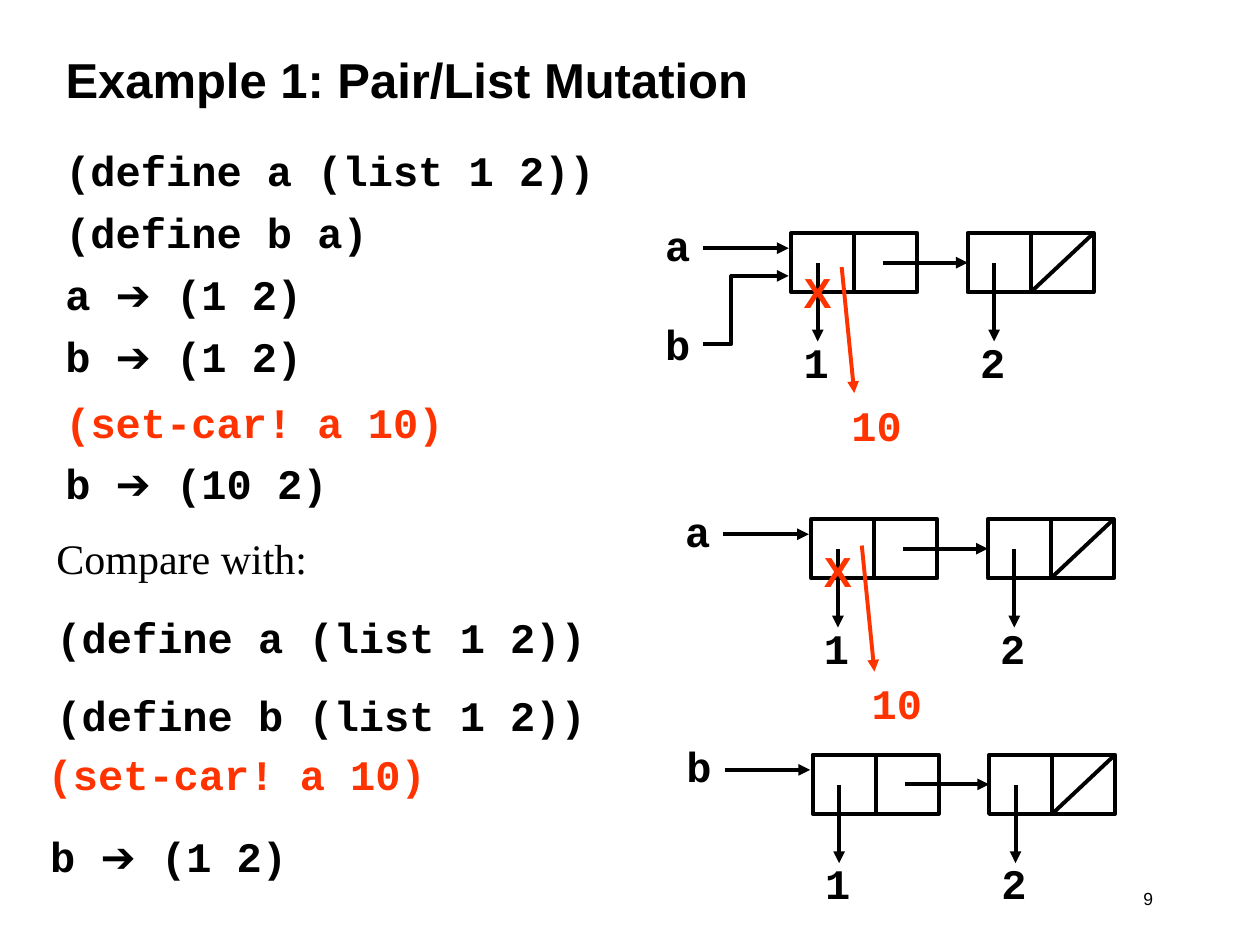
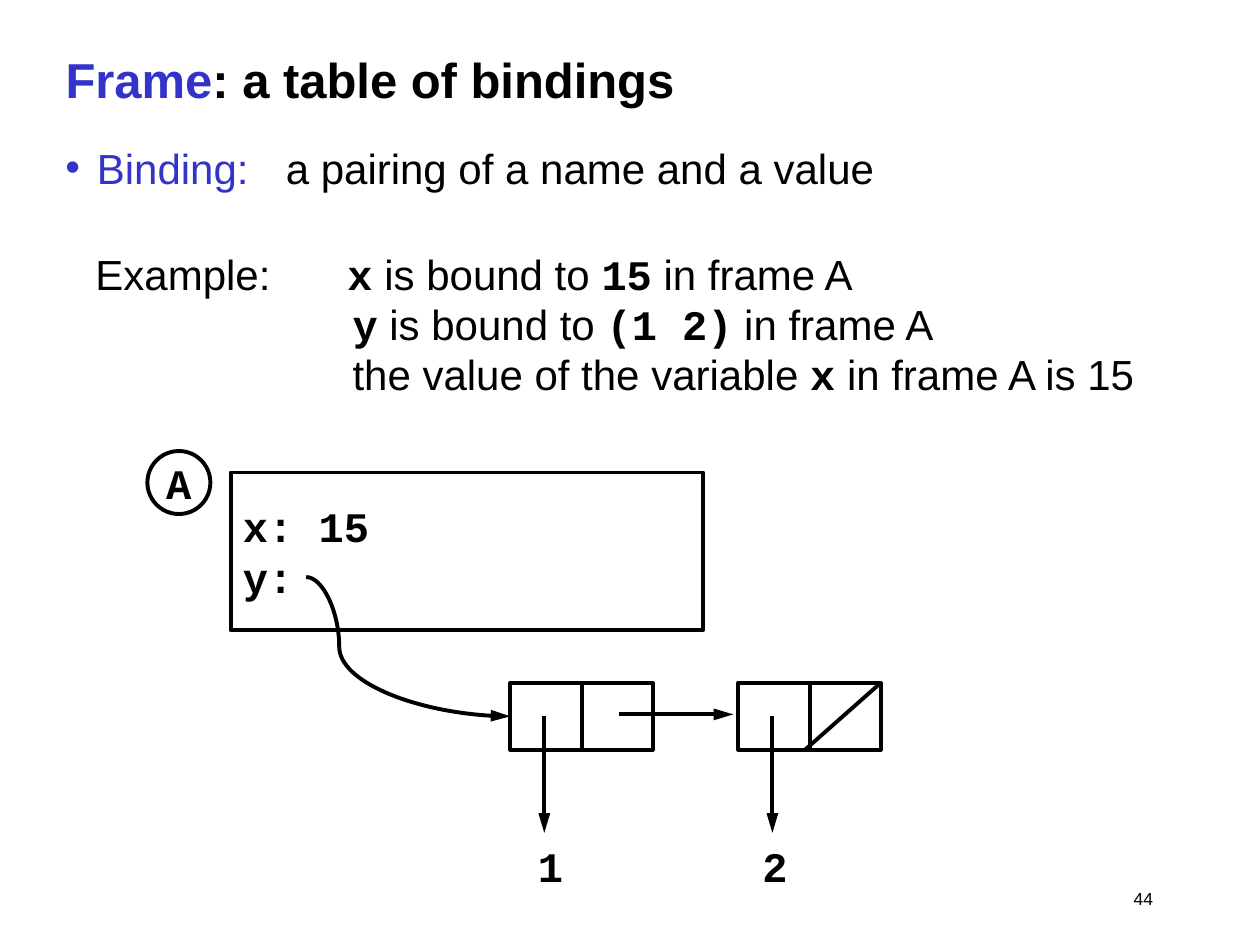
from lxml import etree
from pptx import Presentation
from pptx.dml.color import RGBColor
from pptx.enum import shapes, text
from pptx.oxml import ns
from pptx.util import Inches, Pt

COLORS = {"black": "000000", "red": "FF3300", "blue": "3333CC"}
MONO, SANS, SERIF = "Courier New", "Arial", "Times New Roman"
ARROW = ("➔", {"font": SANS})
CODE = {"font": MONO, "bold": True}
RECT = shapes.MSO_SHAPE.RECTANGLE
STRAIGHT = shapes.MSO_CONNECTOR.STRAIGHT


def write(s, box, paras, shape=None, sp=None, align="LEFT", anchor="TOP",
          wrap=True, before=0, **font):
    left, top, width, height = map(Inches, box)
    if sp is not None:
        sp.left, sp.top, sp.width, sp.height = left, top, width, height
    elif shape is not None:
        sp = s.shapes.add_shape(shape, left, top, width, height)
        sp.shadow.inherit = False
        sp.fill.background()
        sp.line.color.rgb = RGBColor.from_string(COLORS["black"])
        sp.line.width = Pt(2.25)
    else:
        sp = s.shapes.add_textbox(left, top, width, height)
    tf = sp.text_frame
    tf.word_wrap = wrap
    tf.auto_size = text.MSO_AUTO_SIZE.NONE
    tf.vertical_anchor = getattr(text.MSO_ANCHOR, anchor)
    for i, runs in enumerate(paras):
        p = tf.add_paragraph() if i else tf.paragraphs[0]
        p.alignment = getattr(text.PP_ALIGN, align)
        p.space_before = Pt(before if i else 0)
        for run in [runs] if isinstance(runs, str) else runs:
            words, own = (run, {}) if isinstance(run, str) else run
            look = {"font": SANS, "size": 24, "bold": False, "color": "black", **font, **own}
            r = p.add_run()
            r.text = words
            r.font.name = look["font"]
            r.font.size = Pt(look["size"])
            r.font.bold = look["bold"]
            r.font.color.rgb = RGBColor.from_string(COLORS[look["color"]])
    return sp


def connect(s, x1, y1, x2, y2, color="black", head=None, kind=STRAIGHT, bend=None):
    c = s.shapes.add_connector(kind, *map(Inches, (x1, y1, x2, y2)))
    c.line.color.rgb = RGBColor.from_string(COLORS[color])
    c.line.width = Pt(2.25)
    if head:
        etree.SubElement(c.line._get_or_add_ln(), ns.qn("a:tailEnd"),
                         type="triangle", w="med", len=head)
    props = c._element.spPr
    etree.SubElement(props, ns.qn("a:effectLst"))
    if bend:
        geom = props.find(ns.qn("a:prstGeom"))
        guides = geom.find(ns.qn("a:avLst"))
        if guides is None:
            guides = etree.SubElement(geom, ns.qn("a:avLst"))
        etree.SubElement(guides, ns.qn("a:gd"), name="adj1", fmla=f"val {bend}")
    return c


prs = Presentation()
prs.slide_width, prs.slide_height = Inches(10), Inches(7.5)

pages = []
for title, number in [
    (["Example 1: Pair/List Mutation"], "9"),
    ([("Frame", {"color": "blue"}), ": a table of bindings"], "44"),
]:
    s = prs.slides.add_slide(prs.slide_layouts[5])
    write(s, (0.42, 0.17, 8.5, 0.92), [title], sp=s.shapes.title,
          anchor="MIDDLE", size=28, bold=True)
    write(s, (6.83, 7, 2.42, 0.33), [number], align="RIGHT", size=10)
    pages.append(s)
mutation, frame = pages

s = mutation
write(s, (0.42, 1.1, 4.9, 2.04),
      ["(define a (list 1 2))", "(define b a)",
       ["a ", ARROW, " (1 2)"], ["b ", ARROW, " (1 2)"]], before=6.6, **CODE)
write(s, (0.42, 3.1, 4.51, 1.04),
      [[("(set-car! a 10)", {"color": "red"})], ["b ", ARROW, " (10 2)"]], before=6, **CODE)
write(s, (0.35, 4.18, 4.8, 1.72),
      [[("Compare with:", {"font": SERIF, "bold": False})],
       "(define a (list 1 2))", "(define b (list 1 2))"], before=16, **CODE)
write(s, (0.28, 5.89, 5.02, 0.5), ["(set-car! a 10)"], color="red", **CODE)
write(s, (0.3, 6.54, 5.25, 0.5), [["b ", ARROW, " (1 2)"]], **CODE)

for name, x, y, change in [("a", 6.28, 1.85, 0.22), ("a", 6.44, 4.12, 0.16),
                           ("b", 6.45, 5.99, None)]:
    write(s, (x - 1.1, y - 0.16, 0.4, 0.5), [name], wrap=False, **CODE)
    connect(s, x - 0.7, y + 0.12, x - 0.02, y + 0.12, head="med")
    for value, left in [("1", x), ("2", x + 1.4)]:
        pair = write(s, (left, y, 1, 0.47), [], shape=RECT)
        connect(s, left + 0.5, y, left + 0.5, y + 0.47)
        connect(s, left + 0.21, y + 0.24, left + 0.21, y + 0.86, head="med")
        write(s, (left, y + 0.77, 0.4, 0.5), [value], wrap=False, **CODE)
    connect(s, x + 2.4, y, x + 1.9, y + 0.47)
    rest = connect(s, x + 0.73, y + 0.235, x + 1.4, y + 0.235, head="med")
    rest.end_connect(pair, 1)
    if change:
        write(s, (x, y + change, 0.42, 0.5), ["X"], wrap=False, bold=True, color="red")
        connect(s, x + 0.4, y + change + 0.05, x + 0.5, y + change + 1.05,
                color="red", head="med")
        write(s, (x + 0.38, y + change + 1.05, 0.6, 0.5), ["10"],
              wrap=False, color="red", **CODE)

write(s, (5.18, 2.48, 0.4, 0.5), ["b"], wrap=False, **CODE)
connect(s, 5.58, 2.73, 6.26, 2.19, head="med",
        kind=shapes.MSO_CONNECTOR.ELBOW, bend=33100)

s = frame
binding = write(s, (0.42, 1.08, 9.25, 0.75),
                [[("Binding:\t", {"color": "blue"}), "a pairing of a name and a value"]])
example = write(s, (0.66, 1.92, 8.6, 1.3), [
    ["Example:\t", ("x", CODE), " is bound to ", ("15", CODE), " in frame A"],
    [("y", CODE), " is bound to ", ("(1 2)", CODE), " in frame A"],
    ["the value of the variable ", ("x", CODE), " in frame A is 15"]])

props = binding.text_frame.paragraphs[0]._p.get_or_add_pPr()
props.set("marL", str(Inches(0.25)))
props.set("indent", str(-Inches(0.25)))
bullet_color = etree.SubElement(props, ns.qn("a:buClr"))
etree.SubElement(bullet_color, ns.qn("a:srgbClr"), val=COLORS["blue"])
etree.SubElement(props, ns.qn("a:buFont"), typeface=SANS)
etree.SubElement(props, ns.qn("a:buChar"), char="•")
for sp, stop in [(binding, 1.75), (example, 2)]:
    tabs = etree.SubElement(sp.text_frame.paragraphs[0]._p.get_or_add_pPr(), ns.qn("a:tabLst"))
    etree.SubElement(tabs, ns.qn("a:tab"), pos=str(Inches(stop)), algn="l")
for p in example.text_frame.paragraphs[1:]:
    p._p.get_or_add_pPr().set("marL", str(Inches(2.04)))

write(s, (1.83, 3.75, 3.75, 1.25), ["x: 15", "y:"], shape=RECT, anchor="MIDDLE", **CODE)
write(s, (1.17, 3.58, 0.5, 0.5), ["A"], shape=shapes.MSO_SHAPE.OVAL,
      align="CENTER", anchor="MIDDLE", wrap=False, **CODE)

y = 5.42
pairs = []
for value, x, label_x in [("1", 4.05, 4), ("2", 5.86, 5.78)]:
    pairs.append(write(s, (x, y, 1.13, 0.53), [], shape=RECT))
    connect(s, x + 0.57, y, x + 0.57, y + 0.53)
    connect(s, x + 0.27, y + 0.26, x + 0.27, y + 1.19, head="lg")
    write(s, (label_x, y + 1.19, 0.74, 0.52), [value], align="CENTER",
          anchor="MIDDLE", wrap=False, **CODE)
connect(s, 4.91, 5.67, 5.82, 5.67, head="lg")
connect(s, 6.39, 5.95, 6.99, 5.42)
pointer = connect(s, 2.43, 4.58, 4.05, 5.68, head="lg",
                  kind=shapes.MSO_CONNECTOR.CURVE, bend=16200)
pointer.end_connect(pairs[0], 1)

prs.save("out.pptx")
